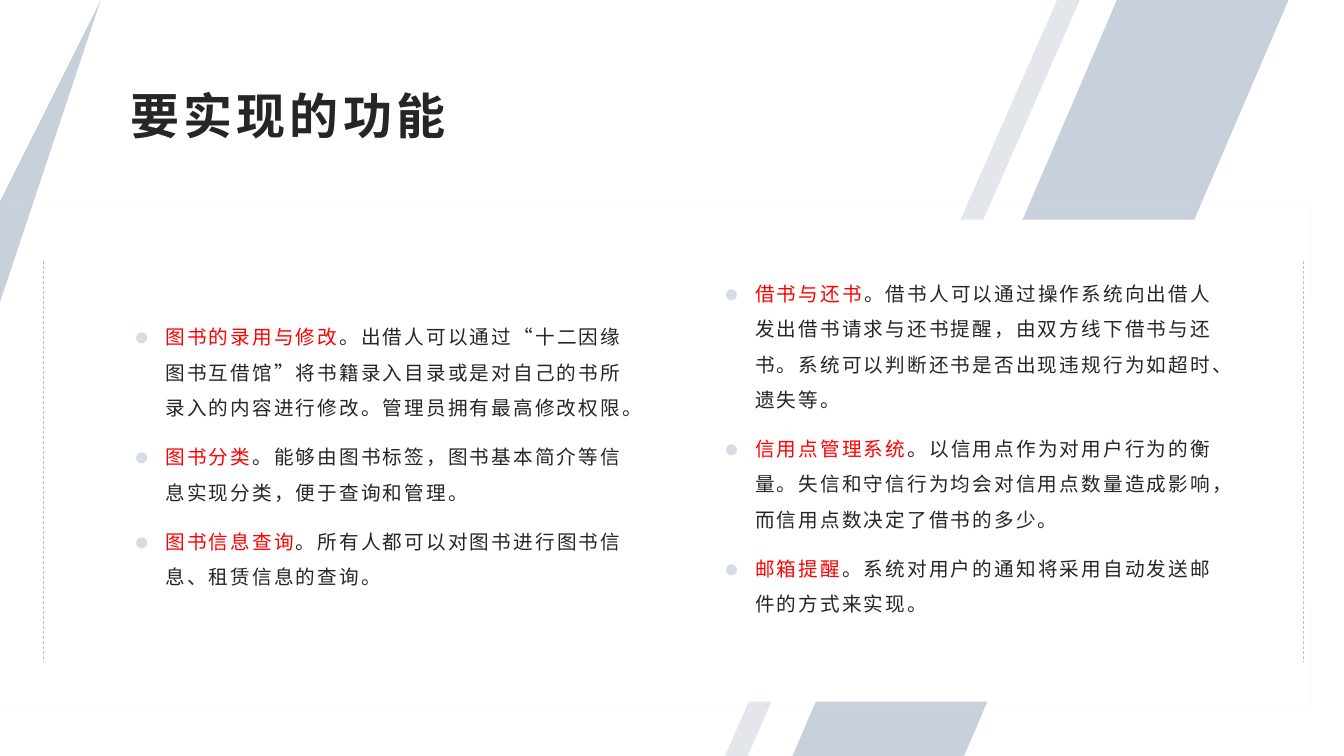
import pptx
import pptx.dml.color
import pptx.enum.dml
import pptx.enum.lang
import pptx.enum.shapes
import pptx.enum.text
import pptx.util
from dataclasses import dataclass
from lxml import etree
from pptx.util import Inches


@dataclass(frozen=True)
class Theme:
    font: str = "Arial"
    title_size: float = 35
    body_size: float = 14
    text: str = "262626"
    keyword: str = "FF0000"
    bullet: str = "D6DCE4"
    panel: str = "FFFFFF"
    frame: str = "D9D9D9"
    dash: str = "BFBFBF"
    band: str = "BBC5D2"
    pale_band: str = "BDC7D3"


theme = Theme()
RGB = pptx.dml.color.RGBColor.from_string


def paint(shape, color, opacity=100):
    """Give a shape a plain fill without outline or shadow; opacity in percent."""
    shape.shadow.inherit = False
    shape.line.fill.background()
    shape.fill.solid()
    shape.fill.fore_color.rgb = RGB(color)
    if opacity < 100:
        color_element = shape.element.spPr.find(".//" + pptx.oxml.ns.qn("a:srgbClr"))
        alpha = etree.SubElement(color_element, pptx.oxml.ns.qn("a:alpha"))
        alpha.set("val", str(opacity * 1000))


def style_run(run, size, color, spacing, bold=False):
    run.font.name = theme.font
    run.font.size = pptx.util.Pt(size)
    run.font.bold = bold
    run.font.color.rgb = RGB(color)
    run.font.language_id = pptx.enum.lang.MSO_LANGUAGE_ID.SIMPLIFIED_CHINESE
    run._r.get_or_add_rPr().set("spc", str(int(spacing * 100)))


presentation = pptx.Presentation()
presentation.slide_width = Inches(13.33)
presentation.slide_height = Inches(7.5)
slide = presentation.slides.add_slide(presentation.slide_layouts[3])
title, left_list, right_list = slide.placeholders

# Slanted bands behind the panel
for left, width, slant, color, opacity in (
    (7.19, 3.52, 0.936, theme.pale_band, 42),
    (7.86, 4.92, 0.654, theme.band, 80),
):
    band = slide.shapes.add_shape(
        pptx.enum.shapes.MSO_SHAPE.PARALLELOGRAM,
        Inches(left), 0, Inches(width), presentation.slide_height,
    )
    band.adjustments[0] = slant
    paint(band, color, opacity)

corner = slide.shapes.build_freeform(1.11, 0, scale=Inches(1))
corner.add_line_segments([(1.21, 0), (0, 2.64), (0, 2.43)])
paint(corner.convert_to_shape(), theme.band, 80)

# White panel with a bracket at top and bottom and a dashed line at each side
panel_group = slide.shapes.add_group_shape()
panel = panel_group.shapes.add_shape(
    pptx.enum.shapes.MSO_SHAPE.RECTANGLE,
    Inches(0.42), Inches(2.18), Inches(12.54), Inches(4.78),
)
paint(panel, theme.panel)

for outer, inner, tip in ((2.15, 2.27, 2.95), (7.03, 6.91, 6.24)):
    bracket = panel_group.shapes.build_freeform(0.39, outer, scale=Inches(1))
    bracket.add_line_segments([
        (12.99, outer), (12.99, tip), (12.89, tip), (12.89, inner),
        (0.5, inner), (0.5, tip), (0.39, tip),
    ])
    paint(bracket.convert_to_shape(), theme.frame)

for x in (0.43, 12.93):
    side = panel_group.shapes.add_connector(
        pptx.enum.shapes.MSO_CONNECTOR.STRAIGHT,
        Inches(x), Inches(2.59), Inches(x), Inches(6.56),
    )
    side.line.color.rgb = RGB(theme.dash)
    side.line.width = pptx.util.Pt(0.5)
    side.line.dash_style = pptx.enum.dml.MSO_LINE.DASH
    etree.SubElement(side.element.spPr, pptx.oxml.ns.qn("a:effectLst"))

# Title and lists, brought in front of the panel
for placeholder, left, top, width, height in (
    (title, 1.19, 0.8, 10.95, 0.81),
    (right_list, 7.08, 2.51, 5.06, 3.77),
    (left_list, 1.23, 2.59, 5.06, 3.77),
):
    placeholder.left, placeholder.top = Inches(left), Inches(top)
    placeholder.width, placeholder.height = Inches(width), Inches(height)
    placeholder.text_frame.word_wrap = True
    placeholder.text_frame.auto_size = pptx.enum.text.MSO_AUTO_SIZE.NONE
    slide.shapes.element.append(placeholder.element)

title.text_frame.text = "要实现的功能"
title.text_frame.vertical_anchor = pptx.enum.text.MSO_ANCHOR.TOP
title.text_frame.paragraphs[0].alignment = pptx.enum.text.PP_ALIGN.LEFT
style_run(title.text_frame.paragraphs[0].runs[0], theme.title_size, theme.text, 3, bold=True)

left_items = (
    ("图书的录用与修改", "。出借人可以通过“十二因缘图书互借馆”将书籍录入目录或是对自己的书所录入的内容进行修改。管理员拥有最高修改权限。"),
    ("图书分类", "。能够由图书标签，图书基本简介等信息实现分类，便于查询和管理。"),
    ("图书信息查询", "。所有人都可以对图书进行图书信息、租赁信息的查询。"),
)
right_items = (
    ("借书与还书", "。借书人可以通过操作系统向出借人发出借书请求与还书提醒，由双方线下借书与还书。系统可以判断还书是否出现违规行为如超时、遗失等。"),
    ("信用点管理系统", "。以信用点作为对用户行为的衡量。失信和守信行为均会对信用点数量造成影响，而信用点数决定了借书的多少。"),
    ("邮箱提醒", "。系统对用户的通知将采用自动发送邮件的方式来实现。"),
)

for placeholder, items in ((left_list, left_items), (right_list, right_items)):
    text_frame = placeholder.text_frame
    text_frame.vertical_anchor = pptx.enum.text.MSO_ANCHOR.MIDDLE
    text_frame.text = "\n".join(keyword for keyword, _ in items)
    for paragraph, (_, detail) in zip(text_frame.paragraphs, items):
        paragraph.line_spacing = 1.5
        paragraph.space_before = pptx.util.Pt(0)
        paragraph.space_after = pptx.util.Pt(10)
        paragraph.add_run().text = detail
        for run, color in zip(paragraph.runs, (theme.keyword, theme.text)):
            style_run(run, theme.body_size, color, 1.5)
        properties = paragraph._p.get_or_add_pPr()
        properties.set("marL", str(Inches(0.31)))
        properties.set("indent", str(-Inches(0.31)))
        bullet_color = etree.SubElement(properties, pptx.oxml.ns.qn("a:buClr"))
        etree.SubElement(bullet_color, pptx.oxml.ns.qn("a:srgbClr")).set("val", theme.bullet)
        etree.SubElement(properties, pptx.oxml.ns.qn("a:buSzPct")).set("val", "130000")
        etree.SubElement(properties, pptx.oxml.ns.qn("a:buFont")).set("typeface", theme.font)
        etree.SubElement(properties, pptx.oxml.ns.qn("a:buChar")).set("char", "●")

presentation.save("out.pptx")
